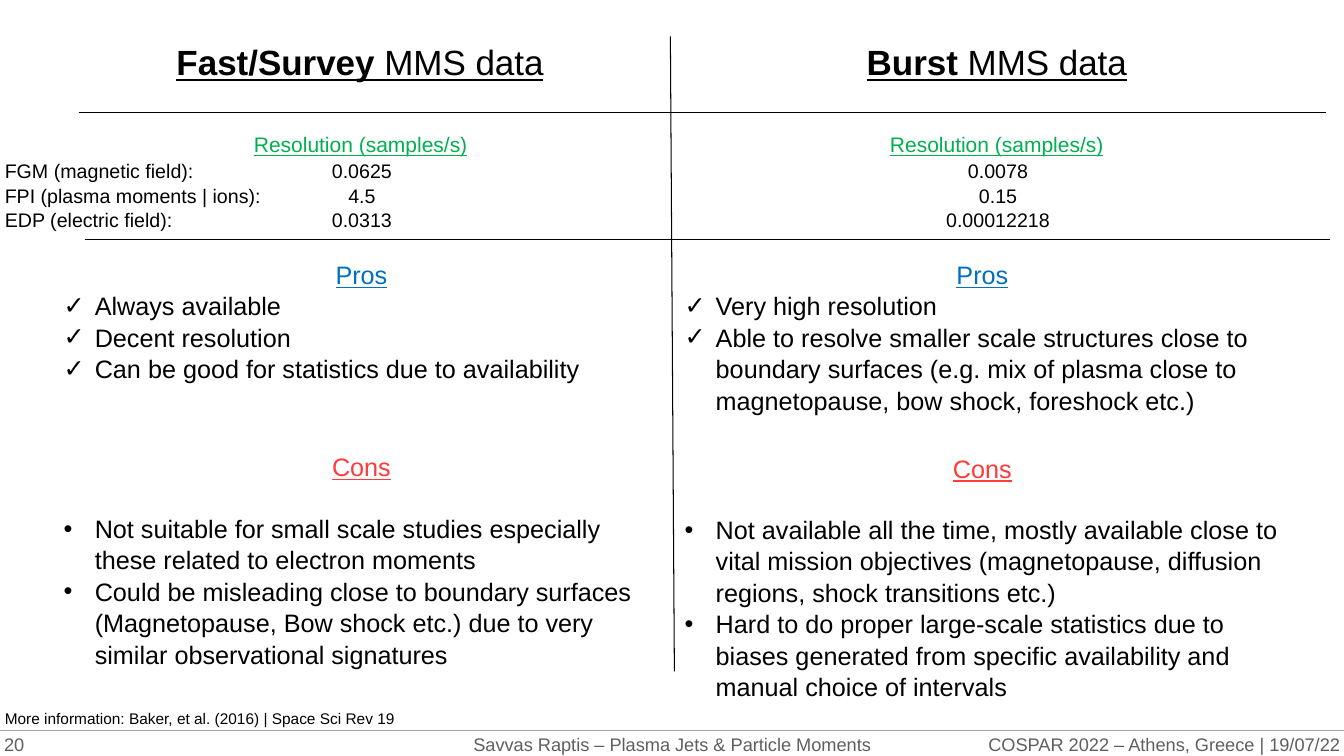
from pptx import Presentation, util as u
from pptx.dml.color import RGBColor
from pptx.enum import shapes, text
from pptx.oxml.ns import qn
from lxml import etree

THEME = {
    "font": "Arial", "ink": "000000", "gray": "5F5F5F", "rule": "A6A6A6",
    "green": "00B050", "blue": "0070C0", "red": "FF3B3B",
    "head": 25, "list": 18, "label": 15, "data": 14, "foot": 13, "note": 11,
}
LEFT, MID, RIGHT = text.PP_ALIGN.LEFT, text.PP_ALIGN.CENTER, text.PP_ALIGN.RIGHT

deck = Presentation()
deck.slide_width, deck.slide_height = u.Inches(13.333), u.Inches(7.5)
W, H = deck.slide_width, deck.slide_height
slide = deck.slides.add_slide(deck.slide_layouts[4])
holds = {p.placeholder_format.idx: p for p in slide.placeholders}


def write(box, lines, size, color="ink", align=LEFT, wrap=True, line=False, hold=None):
    """Fill a text shape; box is left, top, width, height in percent of the slide."""
    x, y, w, h = (int(v / 100 * side) for v, side in zip(box, (W, H, W, H)))
    shape = hold or slide.shapes.add_textbox(x, y, w, h)
    shape.left, shape.top, shape.width, shape.height = x, y, w, h
    frame = shape.text_frame
    frame.text = "\n".join(lines)
    frame.word_wrap = wrap
    frame.auto_size = text.MSO_AUTO_SIZE.NONE
    frame.vertical_anchor = text.MSO_ANCHOR.TOP
    for para in frame.paragraphs:
        para.alignment = align
        para.line_spacing = 1.04
        para.space_before = u.Pt(0)
        for run in para.runs:
            font = run.font
            font.name, font.size = THEME["font"], u.Pt(THEME[size])
            font.bold, font.underline = False, line
            font.color.rgb = RGBColor.from_string(THEME[color])
    return frame


def rule(x1, y1, x2, y2, color="ink"):
    """Draw a thin line between two points in percent of the slide."""
    ends = [int(v / 100 * side) for v, side in zip((x1, y1, x2, y2), (W, H, W, H))]
    line = slide.shapes.add_connector(shapes.MSO_CONNECTOR.STRAIGHT, *ends)
    line.line.color.rgb = RGBColor.from_string(THEME[color])
    line.line.width = u.Pt(0.75)
    etree.SubElement(line._element.spPr, qn("a:effectLst"))


# Footer and dividers
rule(0, 96.67, 100, 96.67, "rule")
rule(49.88, 4.8, 50.18, 88.8)
rule(5.85, 14.93, 98.7, 14.93)
rule(6.3, 31.73, 98.93, 31.73)
for x, w, words, align in (
    (0.3, 31.5, "20", LEFT),
    (0, 100, "Savvas Raptis – Plasma Jets & Particle Moments", MID),
    (68.18, 31.5, "COSPAR 2022 – Athens, Greece | 19/07/22", RIGHT),
):
    frame = write((x, 96.67, w, 3.33), [words], "foot", "gray", align)
    frame.vertical_anchor = text.MSO_ANCHOR.MIDDLE
    frame.margin_left = frame.margin_right = frame.margin_top = frame.margin_bottom = 0
write((-0.38, 93.07, 34.05, 3.87),
      ["More information: Baker, et al. (2016) | Space Sci Rev 19"], "note")

# Headings
for x, w, name, hold in ((12.38, 29.18, "Fast/Survey", holds[0]),
                         (63.75, 21.08, "Burst", None)):
    frame = write((x, 4.53, w, 6.93), [name], "head", wrap=False, line=True, hold=hold)
    para = frame.paragraphs[0]
    para.runs[0].font.bold = True
    rest = para.add_run()
    rest.text = " MMS data"
    font = rest.font
    font.name, font.size = THEME["font"], u.Pt(THEME["head"])
    font.bold, font.underline = False, True
    font.color.rgb = RGBColor.from_string(THEME["ink"])

# Resolution of each instrument
write((-0.38, 20.27, 21, 10.8),
      ["FGM (magnetic field):", "FPI (plasma moments | ions):", "EDP (electric field):"],
      "data")
for x, rates in ((18.15, ["0.0625", "4.5", "0.0313"]),
                 (65.48, ["0.0078", "0.15", "0.00012218"])):
    write((x, 16.67, 17.63, 4.67), ["Resolution (samples/s)"], "label", "green",
          wrap=False, line=True)
    write((x + 0.23, 20.27, 17.1, 10.8), rates, "data", align=MID)

# Pros and cons: placeholder, left, top, height, mark, colour, gap, title, points
ONE, TWO = 3.98, 50.18
LISTS = [
    (1, ONE, 33.47, 25.6, "✓", "blue", 0, "Pros",
     ["Always available", "Decent resolution",
      "Can be good for statistics due to availability"]),
    (3, TWO, 33.47, 25.6, "✓", "blue", 0, "Pros",
     ["Very high resolution",
      "Able to resolve smaller scale structures close to boundary surfaces "
      "(e.g. mix of plasma close to magnetopause, bow shock, foreshock etc.)"]),
    (2, ONE, 58.93, 29.6, "•", "red", 21.5, "Cons",
     ["Not suitable for small scale studies especially these related to electron moments",
      "Could be misleading close to boundary surfaces (Magnetopause, Bow shock etc.) "
      "due to very similar observational signatures"]),
    (4, TWO, 59.07, 33.73, "•", "red", 21.5, "Cons",
     ["Not available all the time, mostly available close to vital mission objectives "
      "(magnetopause, diffusion regions, shock transitions etc.)",
      "Hard to do proper large-scale statistics due to biases generated from specific "
      "availability and manual choice of intervals"]),
]
for idx, x, y, h, mark, color, gap, title, points in LISTS:
    frame = write((x, y, 45.83, h), [title] + points, "list", hold=holds[idx])
    top, *items = frame.paragraphs
    top.alignment = MID
    top.runs[0].font.underline = True
    top.runs[0].font.color.rgb = RGBColor.from_string(THEME[color])
    props = top._p.get_or_add_pPr()
    props.set("marL", "0")
    props.set("indent", "0")
    etree.SubElement(props, qn("a:buNone"))
    for item in items:
        props = item._p.get_or_add_pPr()
        props.set("marL", str(u.Inches(0.31)))
        props.set("indent", str(-u.Inches(0.31)))
        etree.SubElement(props, qn("a:buFont")).set("typeface", THEME["font"])
        etree.SubElement(props, qn("a:buChar")).set("char", mark)
    items[0].space_before = u.Pt(gap)

deck.save("out.pptx")
